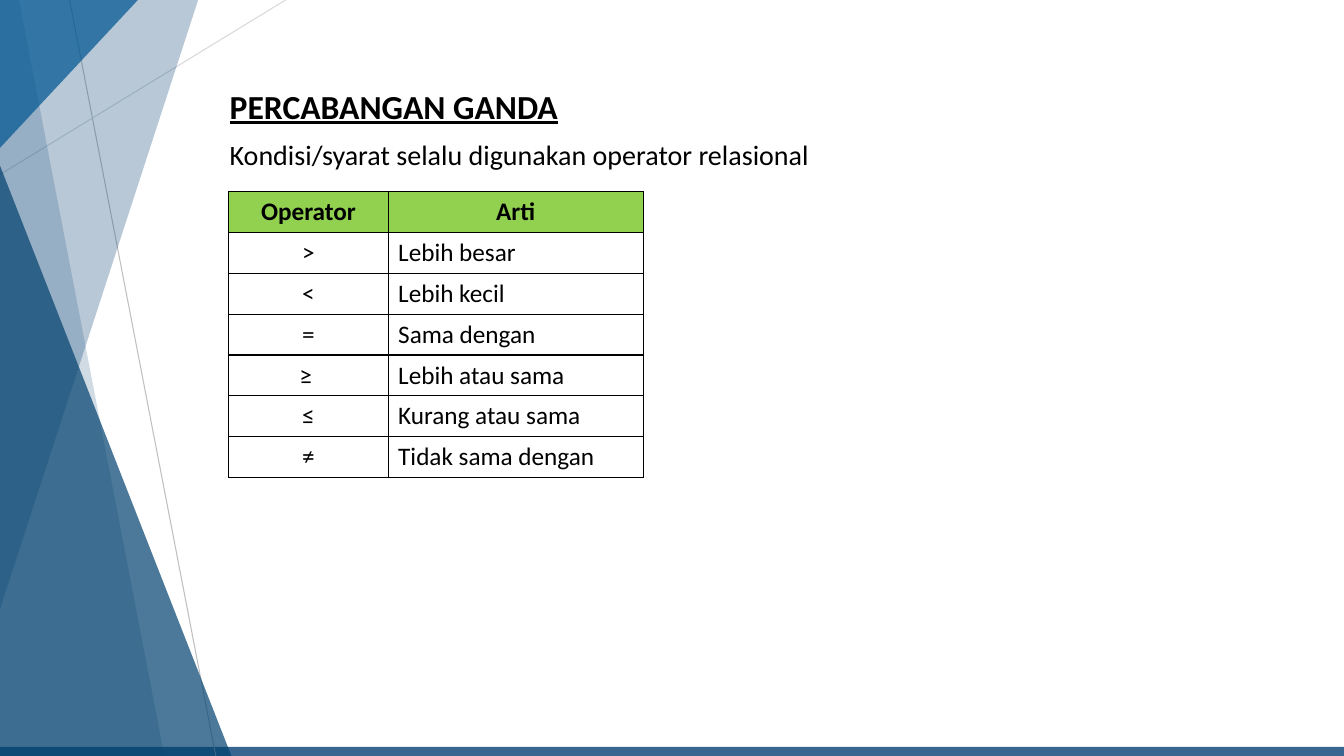
from lxml.etree import SubElement
from pptx import Presentation
from pptx.dml.color import RGBColor
from pptx.enum.shapes import MSO_CONNECTOR as Connector, MSO_SHAPE as Shape
from pptx.enum.text import MSO_ANCHOR as Anchor, MSO_AUTO_SIZE as AutoSize, PP_ALIGN as Align
from pptx.oxml.ns import qn
from pptx.util import Inches, Pt

WIDTH, HEIGHT = Inches(13.33), Inches(7.5)
FONT = "Calibri"
BLACK, WHITE, GREEN = "000000", "FFFFFF", "92D050"
OPERATORS = [
    ("Operator", "Arti"),
    (">", "Lebih besar"),
    ("<", "Lebih kecil"),
    ("=", "Sama dengan"),
    ("≥ ", "Lebih atau sama"),
    ("≤", "Kurang atau sama"),
    ("≠", "Tidak sama dengan"),
]


def across(percent):
    return round(WIDTH * percent / 100)


def down(percent):
    return round(HEIGHT * percent / 100)


def box(left, top, width, height):
    return across(left), down(top), across(width), down(height)


def color(hex_string):
    return RGBColor.from_string(hex_string)


def paint(shape, fill, opacity=100):
    shape.shadow.inherit = False
    shape.line.fill.background()
    shape.fill.solid()
    shape.fill.fore_color.rgb = color(fill)
    if opacity < 100:
        solid = shape.fill._xPr.find(qn("a:solidFill"))
        SubElement(solid[0], qn("a:alpha"), val=str(opacity * 1000))


def add_ray(slide, start, end, stroke):
    ray = slide.shapes.add_connector(
        Connector.STRAIGHT, across(start[0]), down(start[1]), across(end[0]), down(end[1]))
    ray.line.color.rgb = color(stroke)
    ray.line.width = Pt(0.75)
    SubElement(ray._element.spPr, qn("a:effectLst"))


def add_wedge(slide, left, top, bottom, top_right, bottom_right, fill, opacity):
    outline = slide.shapes.build_freeform(across(bottom_right), down(bottom))
    outline.add_line_segments([
        (across(left), down(bottom)),
        (across(left), down(top)),
        (across(top_right), down(top)),
    ])
    paint(outline.convert_to_shape(), fill, opacity)


def add_corner(slide):
    corner = slide.shapes.add_shape(
        Shape.ISOSCELES_TRIANGLE, *box(-25.13, -35.2, 53.85, 102.67))
    corner.adjustments[0] = 1
    corner.rotation = 180
    paint(corner, "005792", 72)


def add_backdrop(slide):
    footer = slide.shapes.add_shape(Shape.RECTANGLE, *box(0, 98.8, 100, 3.33))
    paint(footer, "386690")
    add_ray(slide, (21.45, 149.6), (1.35, -35.2), "BFBFBF")
    add_ray(slide, (-25.13, 50.4), (53.63, -35.2), "D9D9D9")
    add_wedge(slide, -29.33, -30.93, 154, 20.4, -13.43, "154B7C", 30)
    add_wedge(slide, -25.13, -35.2, 149.87, -2.4, 17.63, "154B7C", 20)
    add_corner(slide)
    add_wedge(slide, -28.05, -76.4, 108.67, -21.68, 19.13, "00416E", 70)


def write(paragraph, text, size, align=Align.LEFT, bold=False, underline=False):
    paragraph.text = text
    paragraph.alignment = align
    font = paragraph.font
    font.name, font.size = FONT, Pt(size)
    font.bold, font.underline = bold, underline
    font.color.rgb = color(BLACK)


def add_text(slide, place, text, size, wrap=True, **style):
    frame = slide.shapes.add_textbox(*box(*place)).text_frame
    frame.word_wrap = wrap
    frame.auto_size = AutoSize.SHAPE_TO_FIT_TEXT
    write(frame.paragraphs[0], text, size, **style)


def add_borders(cell):
    properties = cell._tc.get_or_add_tcPr()
    for side in ("lnL", "lnR", "lnT", "lnB"):
        border = SubElement(properties, qn(f"a:{side}"), w=str(Pt(1)))
        solid = SubElement(border, qn("a:solidFill"))
        SubElement(solid, qn("a:srgbClr"), val=BLACK)


def add_operator_table(slide, left, top, column_widths, row_height):
    place = box(left, top, sum(column_widths), row_height * len(OPERATORS))
    table = slide.shapes.add_table(len(OPERATORS), len(column_widths), *place).table
    table.first_row = table.horz_banding = False
    for column, width in zip(table.columns, column_widths):
        column.width = across(width)
    for r, entries in enumerate(OPERATORS):
        table.rows[r].height = down(row_height)
        header = r == 0
        for c, text in enumerate(entries):
            cell = table.cell(r, c)
            add_borders(cell)
            cell.fill.solid()
            cell.fill.fore_color.rgb = color(GREEN if header else WHITE)
            cell.vertical_anchor = Anchor.TOP
            align = Align.CENTER if header or c == 0 else Align.LEFT
            write(cell.text_frame.paragraphs[0], text, 18, align, bold=header)


def main():
    deck = Presentation()
    deck.slide_width, deck.slide_height = WIDTH, HEIGHT
    slide = deck.slides.add_slide(deck.slide_layouts[6])
    add_backdrop(slide)
    add_text(slide, (16.35, 10.67, 26.1, 6.67), "PERCABANGAN GANDA", 24,
             wrap=False, bold=True, underline=True)
    add_text(slide, (16.35, 17.47, 61.13, 5.87),
             "Kondisi/syarat selalu digunakan operator relasional", 20, align=Align.JUSTIFY)
    add_operator_table(slide, 17.03, 25.33, (11.85, 18.98), 5.41)
    deck.save("out.pptx")


if __name__ == "__main__":
    main()
